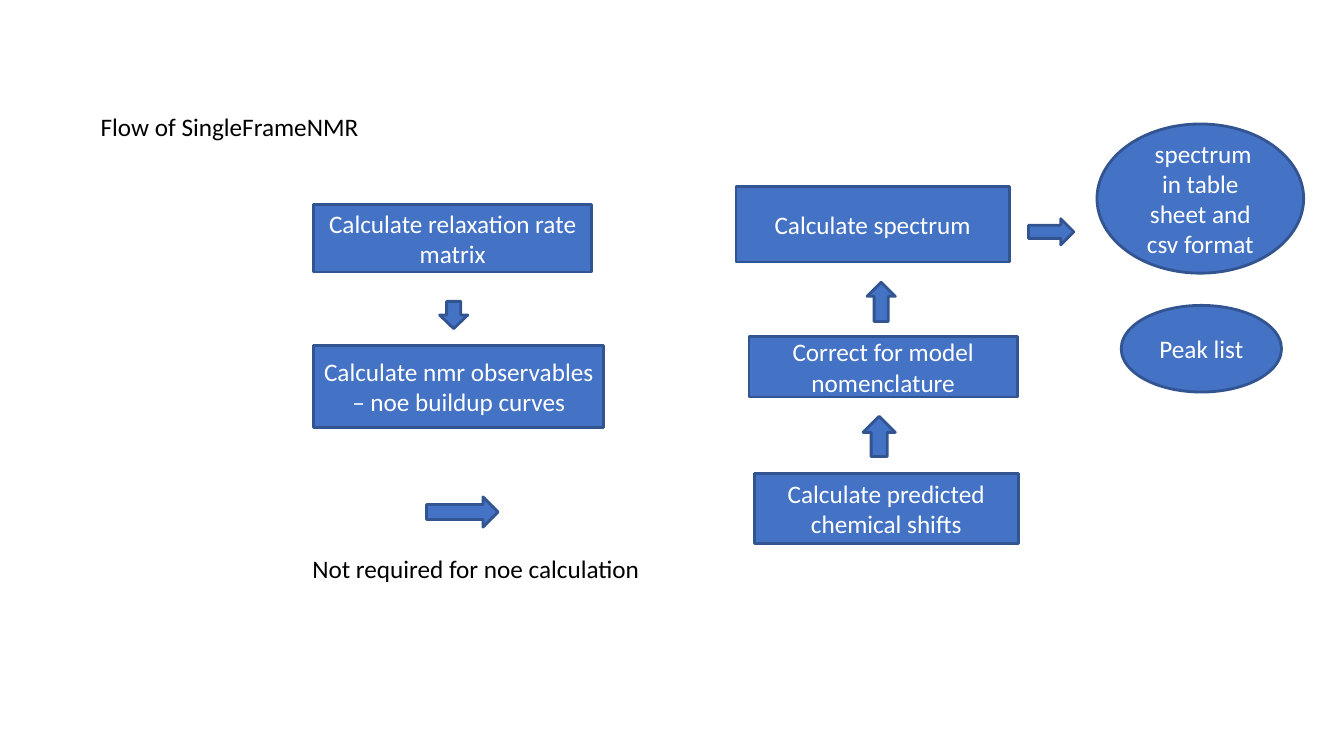
from pptx import Presentation
from pptx import util as u
from pptx.dml.color import RGBColor
from pptx.enum import shapes, text

PX = 9144
BLUE = RGBColor(0x44, 0x72, 0xC4)
EDGE = RGBColor(0x32, 0x54, 0x91)
WHITE = RGBColor(0xFF, 0xFF, 0xFF)
BLACK = RGBColor(0, 0, 0)
KIND = shapes.MSO_SHAPE


def place(box, x, y, w, h):
    return [n * PX for n in (box[0] + x, box[1] + y, w, h)]


def write(tf, words, color, align):
    tf.word_wrap = True
    p = tf.paragraphs[0]
    p.alignment = align
    r = p.add_run()
    r.text = words
    r.font.name = "Calibri"
    r.font.size = u.Pt(18)
    r.font.color.rgb = color


def add_node(s, kind, at, words=None):
    sp = s.shapes.add_shape(kind, *at)
    sp.shadow.inherit = False
    sp.fill.solid()
    sp.fill.fore_color.rgb = BLUE
    sp.line.color.rgb = EDGE
    sp.line.width = u.Pt(2)
    if words:
        sp.text_frame.vertical_anchor = text.MSO_ANCHOR.MIDDLE
        write(sp.text_frame, words, WHITE, text.PP_ALIGN.CENTER)


def add_caption(s, at, words):
    tf = s.shapes.add_textbox(*at).text_frame
    write(tf, words, BLACK, text.PP_ALIGN.LEFT)
    tf.auto_size = text.MSO_AUTO_SIZE.SHAPE_TO_FIT_TEXT


def add_title(s, box):
    add_caption(s, place(box, 0, 0, box[2], box[3]), "Flow of SingleFrameNMR")


def add_noe_steps(s, box):
    add_node(s, KIND.RECTANGLE, place(box, 11, 0, 276, 67), "Calculate relaxation rate matrix")
    add_node(s, KIND.DOWN_ARROW, place(box, 136, 96, 28, 27))
    add_node(s, KIND.RECTANGLE, place(box, 11, 140, 288, 81),
             "Calculate nmr observables – noe buildup curves")
    add_node(s, KIND.RIGHT_ARROW, place(box, 123, 290, 71, 30))
    add_caption(s, place(box, 0, 341, box[2], 70), "Not required for noe calculation")


def add_spectrum_steps(s, box):
    add_node(s, KIND.RECTANGLE, place(box, 18, 285, 262, 69), "Calculate predicted chemical shifts")
    add_node(s, KIND.UP_ARROW, place(box, 126, 228, 32, 40))
    add_node(s, KIND.RECTANGLE, place(box, 13, 149, 266, 60), "Correct for model nomenclature")
    add_node(s, KIND.UP_ARROW, place(box, 130, 95, 28, 39))
    add_node(s, KIND.RECTANGLE, place(box, 0, 0, 271, 75), "Calculate spectrum")


def add_outputs(s, box):
    add_node(s, KIND.RIGHT_ARROW, place(box, 0, 94, 45, 26))
    add_node(s, KIND.OVAL, place(box, 68, 0, 205, 148), " spectrum in table sheet and csv format")
    add_node(s, KIND.OVAL, place(box, 92, 180, 159, 86), "Peak list")


def main():
    prs = Presentation()
    prs.slide_width, prs.slide_height = 1333 * PX, 750 * PX
    s = prs.slides.add_slide(prs.slide_layouts[6])
    add_title(s, (90, 106, 399, 40))
    add_noe_steps(s, (300, 203, 384, 411))
    add_spectrum_steps(s, (730, 185, 280, 354))
    add_outputs(s, (1020, 123, 273, 266))
    prs.save("out.pptx")


if __name__ == "__main__":
    main()
